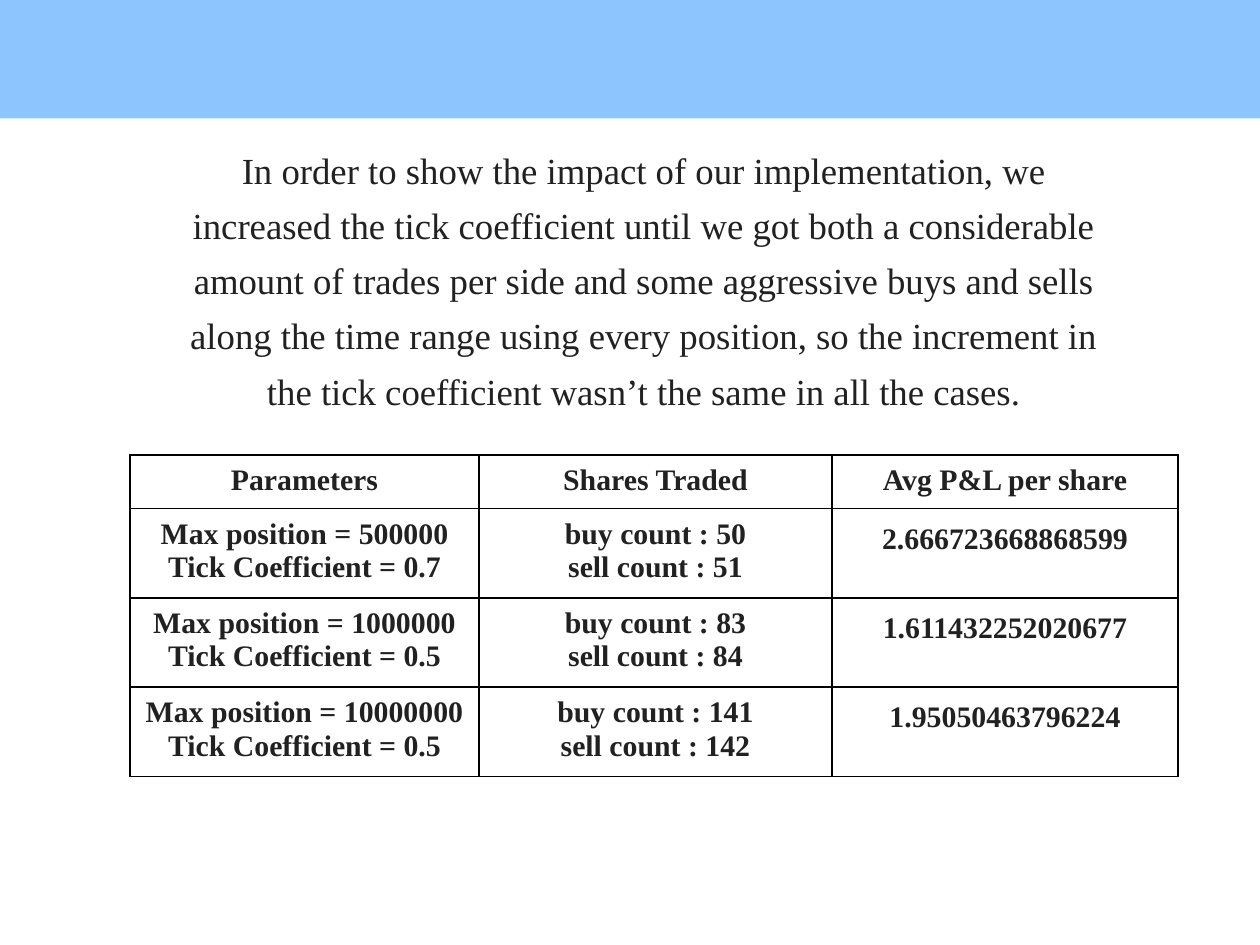
from lxml import etree
from pptx import Presentation
from pptx import util as u
from pptx.dml.color import RGBColor
from pptx.enum import shapes, text
from pptx.oxml.ns import qn

# Content
INTRO = (
    "In order to show the impact of our implementation, we increased the tick "
    "coefficient until we got both a considerable amount of trades per side and "
    "some aggressive buys and sells along the time range using every position, "
    "so the increment in the tick coefficient wasn’t the same in all the cases."
)
HEADINGS = ("Parameters", "Shares Traded", "Avg P&L per share")
RESULTS = [  # max position, tick coefficient, buys, sells, average P&L
    ("500000", "0.7", 50, 51, "2.666723668868599"),
    ("1000000", "0.5", 83, 84, "1.611432252020677"),
    ("10000000", "0.5", 141, 142, "1.95050463796224"),
]

THEME = {
    "font": "Times New Roman",
    "ink": RGBColor(0x21, 0x21, 0x21),
    "band": RGBColor(0x8D, 0xC6, 0xFF),
    "border": "000000",
    "intro_size": u.Pt(21),
    "table_size": u.Pt(17),
}
COLUMN_WIDTHS = (u.Cm(7.04), u.Cm(7.11), u.Cm(6.98))
HEADING_HEIGHT, RESULT_HEIGHT = u.Cm(1.02), u.Cm(1.69)


def style(paragraph, size, bold=False):
    paragraph.alignment = text.PP_ALIGN.CENTER
    paragraph.font.name = THEME["font"]
    paragraph.font.size = size
    paragraph.font.bold = bold
    paragraph.font.color.rgb = THEME["ink"]


def set_margins(holder, margin):
    holder.margin_left = holder.margin_right = margin
    holder.margin_top = holder.margin_bottom = margin


def add_borders(cell):
    properties = cell._tc.get_or_add_tcPr()
    for position, side in enumerate(("a:lnL", "a:lnR", "a:lnT", "a:lnB")):
        line = etree.Element(qn(side), w=str(u.Pt(1)))
        fill = etree.SubElement(line, qn("a:solidFill"))
        etree.SubElement(fill, qn("a:srgbClr"), val=THEME["border"])
        properties.insert(position, line)


def fill_cell(cell, lines):
    set_margins(cell, u.Cm(0.18))
    cell.fill.background()
    add_borders(cell)
    cell.text = "\n".join(lines)
    for paragraph in cell.text_frame.paragraphs:
        style(paragraph, THEME["table_size"], bold=True)


deck = Presentation()
deck.slide_width, deck.slide_height = u.Cm(25.4), u.Cm(19.05)
slide = deck.slides.add_slide(deck.slide_layouts[6])

# Top band
band = slide.shapes.add_shape(
    shapes.MSO_SHAPE.RECTANGLE, 0, 0, deck.slide_width, u.Cm(2.39))
band.shadow.inherit = False
band.fill.solid()
band.fill.fore_color.rgb = THEME["band"]
band.line.fill.background()

# Introduction
intro = slide.shapes.add_textbox(
    u.Cm(3.25), u.Cm(2.51), u.Cm(19.46), u.Cm(4.06)).text_frame
intro.word_wrap = True
set_margins(intro, u.Cm(0.25))
intro.text = INTRO
style(intro.paragraphs[0], THEME["intro_size"])
intro.paragraphs[0].line_spacing = 1.25

# Results table
rows = [[[heading] for heading in HEADINGS]] + [
    [[f"Max position = {position}", f"Tick Coefficient = {tick}"],
     [f"buy count : {buys}", f"sell count : {sells}"],
     [profit]]
    for position, tick, buys, sells, profit in RESULTS
]
heights = [HEADING_HEIGHT] + [RESULT_HEIGHT] * len(RESULTS)
results = slide.shapes.add_table(
    len(rows), len(HEADINGS), u.Cm(2.62), u.Cm(9.17),
    sum(COLUMN_WIDTHS), sum(heights)).table
for column, width in zip(results.columns, COLUMN_WIDTHS):
    column.width = width
for r, (row, height) in enumerate(zip(rows, heights)):
    results.rows[r].height = height
    for c, lines in enumerate(row):
        fill_cell(results.cell(r, c), lines)
    if r > 0:
        results.cell(r, 2).text_frame.paragraphs[0].line_spacing = 1.15

deck.save("out.pptx")
